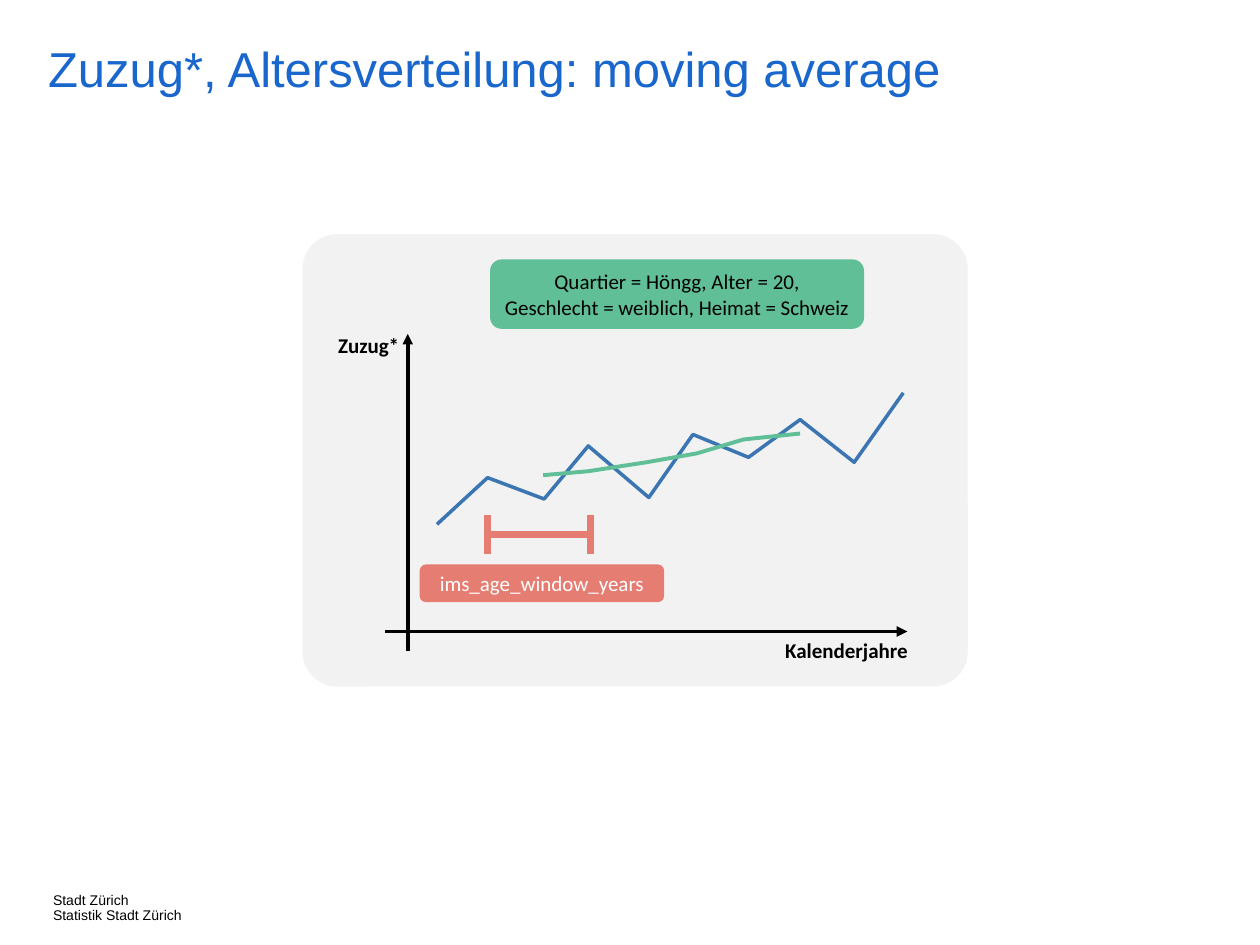
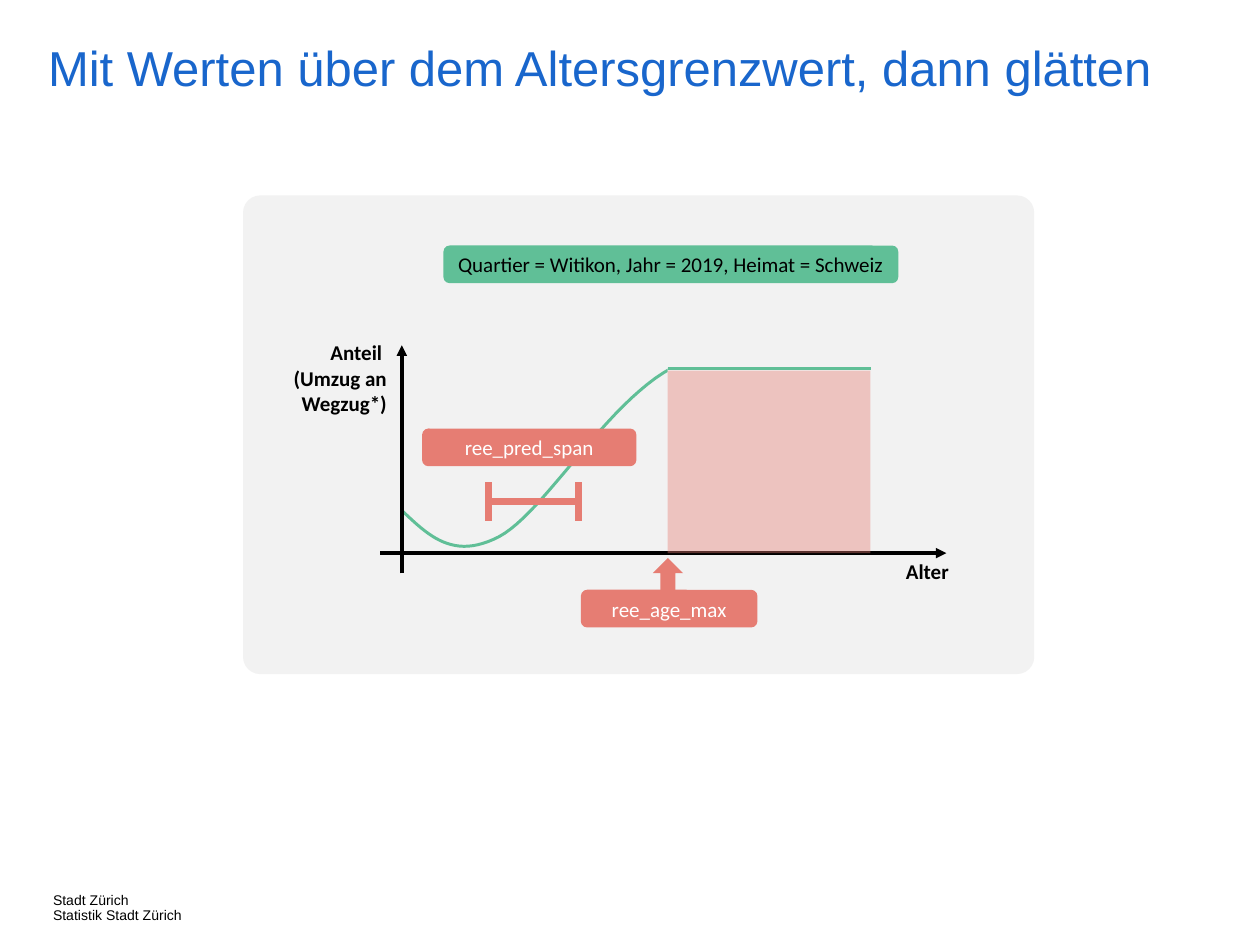
"""Build two slides that explain smoothing with simple line sketches."""
from dataclasses import dataclass

from lxml import etree
from pptx import Presentation
from pptx import util as u
from pptx.dml import color
from pptx.enum import dml, shapes, text
from pptx.oxml import ns

HUES = {
    "title": "1966CC",
    "black": "000000",
    "white": "FFFFFF",
    "panel": "F2F2F2",
    "green": "60BF97",
    "red": "E67D73",
    "blue": "3B76B3",
}
KIND = shapes.MSO_SHAPE
ALIGN = text.PP_ALIGN
ROW = 0.76
Point = tuple[float, float]


@dataclass(frozen=True)
class Box:
    x: float
    y: float
    w: float
    h: float = ROW

    def cm(self) -> list[u.Length]:
        return [u.Cm(side) for side in (self.x, self.y, self.w, self.h)]


@dataclass(frozen=True)
class Tag:
    words: str
    box: Box
    fill: str = "red"
    ink: str = "white"


@dataclass(frozen=True)
class Name:
    words: str
    box: Box
    align: ALIGN = ALIGN.CENTER


@dataclass(frozen=True)
class Axis:
    start: Point
    end: Point


@dataclass(frozen=True)
class Span:
    left: float
    right: float
    y: float


def rgb(hue: str) -> color.RGBColor:
    return color.RGBColor.from_string(HUES[hue])


def say(frame, *paras: str, size: float = 12, font: str = "Calibri", ink: str = "black",
        bold: bool = False, align: ALIGN = ALIGN.LEFT, space: float = 1.0,
        inset: Point | None = None, wrap: bool = True,
        anchor: text.MSO_ANCHOR = text.MSO_ANCHOR.TOP) -> None:
    frame.auto_size = text.MSO_AUTO_SIZE.NONE
    frame.word_wrap = wrap
    frame.vertical_anchor = anchor
    if inset is not None:
        frame.margin_left = frame.margin_right = u.Cm(inset[0])
        frame.margin_top = frame.margin_bottom = u.Cm(inset[1])
    for i, words in enumerate(paras):
        para = frame.add_paragraph() if i else frame.paragraphs[0]
        para.text = words
        para.alignment = align
        para.line_spacing = space
        for run in para.runs:
            run.font.name = font
            run.font.size = u.Pt(size)
            run.font.bold = bold
            run.font.color.rgb = rgb(ink)


def block(host, kind: KIND, box: Box, fill: str, alpha: int = 100,
          round_by: float | None = None):
    shape = host.shapes.add_shape(kind, *box.cm())
    shape.shadow.inherit = False
    shape.line.fill.background()
    shape.fill.solid()
    shape.fill.fore_color.rgb = rgb(fill)
    if alpha < 100:
        tint = shape.fill._xPr.find(".//" + ns.qn("a:srgbClr"))
        etree.SubElement(tint, ns.qn("a:alpha"), val=str(alpha * 1000))
    if round_by is not None:
        shape.adjustments[0] = round_by
    return shape


def stroke(host, start: Point, end: Point, hue: str, width: float, arrow: bool = False):
    line = host.shapes.add_connector(
        shapes.MSO_CONNECTOR.STRAIGHT, *(u.Cm(v) for v in start + end))
    line.line.width = u.Pt(width)
    line.line.fill.solid()
    line.line.color.rgb = rgb(hue)
    if arrow:
        etree.SubElement(line.line._get_or_add_ln(), ns.qn("a:tailEnd"), type="triangle")
    etree.SubElement(line._element.spPr, ns.qn("a:effectLst"))
    return line


def trace(host, points: list[Point], hue: str, width: float):
    spots = [(u.Cm(x), u.Cm(y)) for x, y in points]
    path = host.shapes.build_freeform(*spots[0], scale=1.0)
    path.add_line_segments(spots[1:], close=False)
    shape = path.convert_to_shape()
    shape.shadow.inherit = False
    shape.fill.background()
    shape.line.width = u.Pt(width)
    shape.line.color.rgb = rgb(hue)
    shape.line.dash_style = dml.MSO_LINE.SOLID
    return shape


def bend(knots: list[Point], steps: int = 24) -> list[Point]:
    """Sample a chain of cubic curves whose ends are every third knot."""
    points = [knots[0]]
    for i in range(0, len(knots) - 1, 3):
        for step in range(1, steps + 1):
            t = step / steps
            loads = ((1 - t) ** 3, 3 * t * (1 - t) ** 2, 3 * t * t * (1 - t), t ** 3)
            points.append(tuple(
                sum(load * knot[k] for load, knot in zip(loads, knots[i:i + 4]))
                for k in (0, 1)))
    return points


def draw_tag(slide, tag: Tag) -> None:
    shape = block(slide, KIND.ROUNDED_RECTANGLE, tag.box, tag.fill)
    say(shape.text_frame, *[tag.words], ink=tag.ink, align=ALIGN.CENTER,
        inset=(0, 0), anchor=text.MSO_ANCHOR.MIDDLE)


def draw_name(slide, name: Name) -> None:
    frame = slide.shapes.add_textbox(*name.box.cm()).text_frame
    say(frame, name.words, bold=True, align=name.align)


def draw_axis(slide, axis: Axis) -> None:
    stroke(slide, axis.start, axis.end, "black", 2, arrow=True)


def draw_span(slide, span: Span, tick: float = 0.39) -> None:
    group = slide.shapes.add_group_shape()
    stroke(group, (span.left, span.y), (span.right, span.y), "red", 4)
    for x in (span.left, span.right):
        stroke(group, (x, span.y - tick), (x, span.y + tick), "red", 4)


def start(deck, title: str, spot: Box, panel: Box, round_by: float):
    """Add a slide with its title, footer and grey panel."""
    slide = deck.slides.add_slide(deck.slide_layouts[5])
    head = slide.shapes.title
    head.left, head.top, head.width, head.height = spot.cm()
    say(head.text_frame, title, size=28, font="Arial", ink="title", space=0.9, inset=(0, 0))
    foot = slide.shapes.add_textbox(*Box(1.07, 18.01, 3.33, 0.51).cm())
    say(foot.text_frame, "Stadt Zürich", "Statistik Stadt Zürich",
        size=8, font="Arial", space=0.9, inset=(0, 0), wrap=False)
    block(slide, KIND.ROUNDED_RECTANGLE, panel, "panel", round_by=round_by)
    return slide


def build_mean(deck) -> None:
    slide = start(deck, "Zuzug*, Altersverteilung: moving average",
                  Box(0.97, 0.91, 21.34, 1.63), Box(6.1, 4.72, 13.41, 9.12), 0.077)
    draw_axis(slide, Axis((7.77, 12.73), (18.29, 12.73)))
    draw_name(slide, Name("Kalenderjahre", Box(15.49, 12.73, 3.15)))
    trace(slide, [(8.81, 10.57), (9.83, 9.63), (10.97, 10.06), (11.86, 8.99),
                  (13.08, 10.03), (13.97, 8.76), (15.09, 9.22), (16.13, 8.46),
                  (17.22, 9.32), (18.21, 7.92)], "blue", 2)
    draw_axis(slide, Axis((8.22, 13.13), (8.22, 6.73)))
    trace(slide, [(10.95, 9.58), (11.86, 9.5), (13.03, 9.32), (14.05, 9.14),
                  (14.99, 8.86), (16.13, 8.74)], "green", 2.25)
    draw_span(slide, Span(9.83, 11.91, 10.77))
    draw_tag(slide, Tag("ims_age_window_years", Box(8.46, 11.38, 4.93)))
    draw_tag(slide, Tag("Quartier = Höngg, Alter = 20,\n"
                        "Geschlecht = weiblich, Heimat = Schweiz",
                        Box(9.88, 5.23, 7.54, 1.4), "green", "black"))
    draw_name(slide, Name("Zuzug*", Box(6.17, 6.58, 2.13), ALIGN.RIGHT))


def build_limit(deck) -> None:
    slide = start(deck, "Mit Werten über dem Altersgrenzwert, dann glätten",
                  Box(0.97, 0.89, 23.72, 1.63), Box(4.9, 3.94, 15.95, 9.65), 0.036)
    trace(slide, bend([(8.1, 10.29), (8.64, 10.8), (9.14, 11.3), (10.06, 10.82),
                       (10.97, 10.34), (12.22, 8.13), (13.54, 7.42),
                       (14.86, 6.68), (16.41, 6.6), (17.93, 6.53)]), "green", 1.7)
    draw_axis(slide, Axis((7.67, 11.15), (19.08, 11.15)))
    draw_name(slide, Name("Alter", Box(17.12, 11.13, 3.15)))
    draw_axis(slide, Axis((8.1, 11.56), (8.1, 6.96)))
    draw_name(slide, Name("Anteil \n(Umzug an Wegzug*)", Box(4.9, 6.73, 3.15, 1.8),
                          ALIGN.RIGHT))
    draw_tag(slide, Tag("Quartier = Witikon, Jahr = 2019, Heimat = Schweiz",
                        Box(8.94, 4.95, 9.17), "green", "black"))
    draw_span(slide, Span(9.84, 11.66, 10.11))
    block(slide, KIND.RECTANGLE, Box(13.46, 6.07, 4.8, 1.68), "panel")
    draw_tag(slide, Tag("ree_pred_span", Box(8.51, 8.64, 4.32)))
    draw_tag(slide, Tag("ree_age_max", Box(11.71, 11.89, 3.56)))
    block(slide, KIND.RECTANGLE, Box(13.46, 7.47, 4.09, 3.68), "red", alpha=40)
    stroke(slide, (13.46, 7.42), (17.55, 7.42), "green", 1.7)
    block(slide, KIND.UP_ARROW, Box(13.16, 11.25, 0.61, 0.71), "red")


def main() -> None:
    deck = Presentation()
    deck.slide_width, deck.slide_height = u.Cm(25.4), u.Cm(19.05)
    build_mean(deck)
    build_limit(deck)
    deck.save("out.pptx")


if __name__ == "__main__":
    main()
